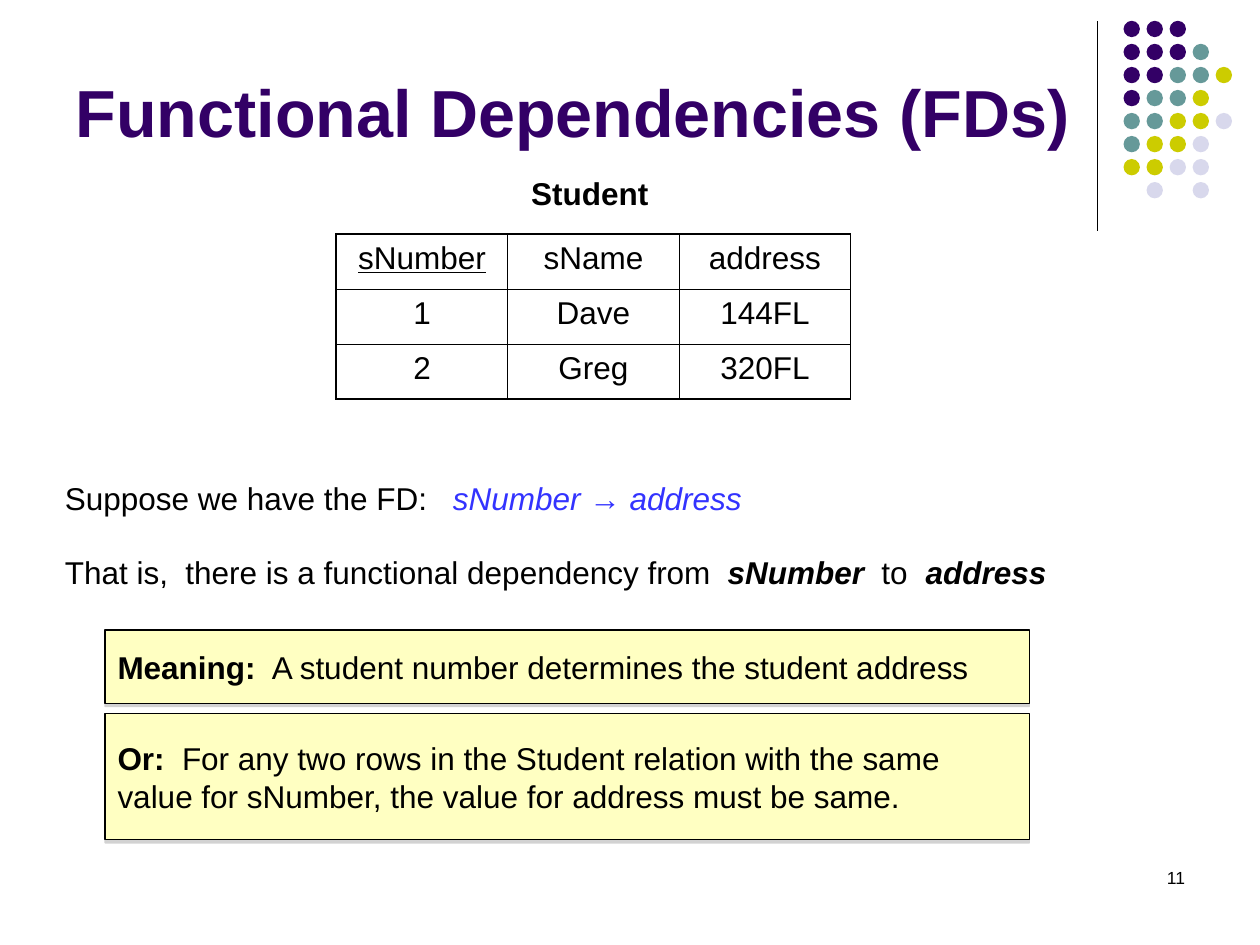
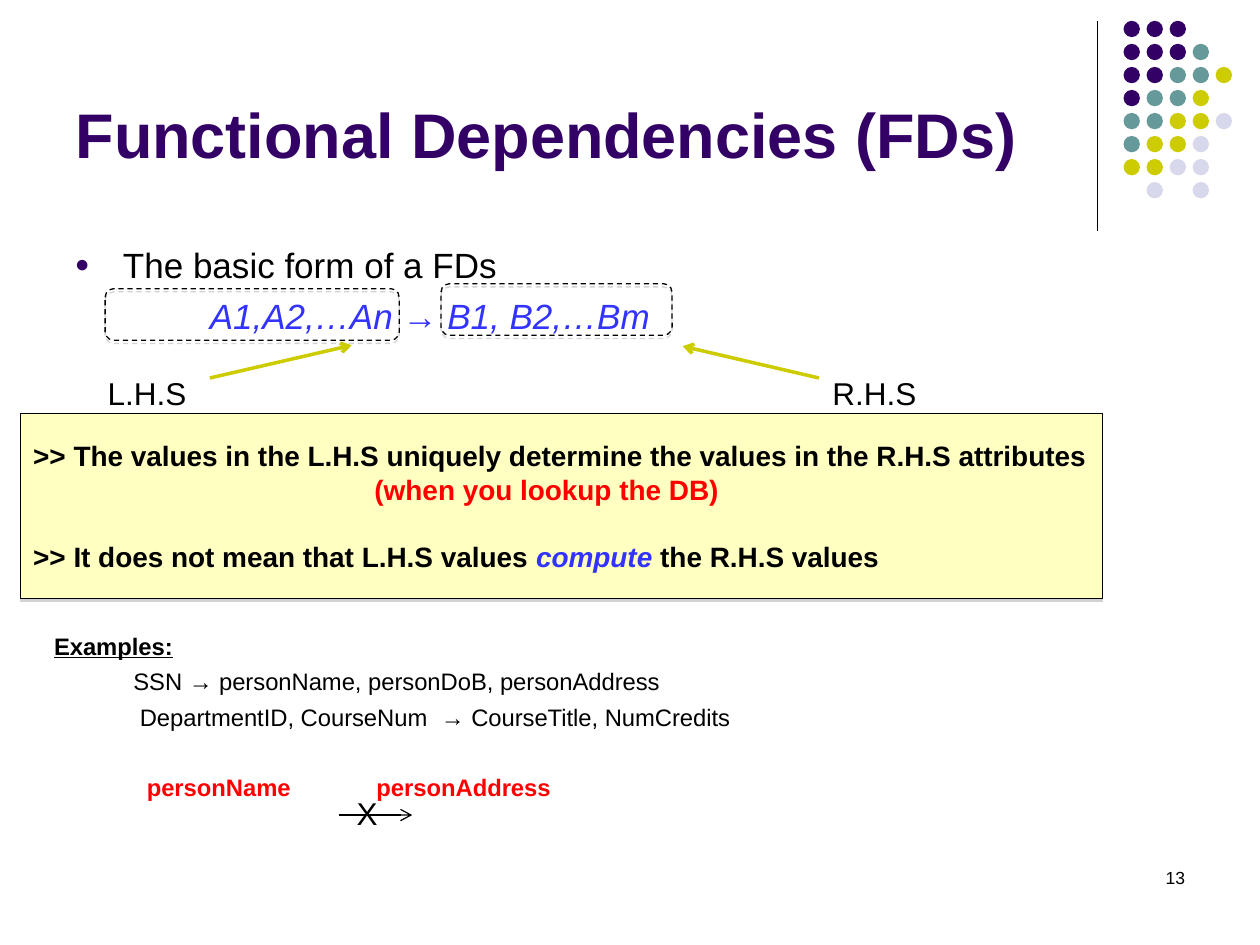
from lxml.etree import SubElement as Sub
from pptx import Presentation
from pptx.dml.color import RGBColor as RGB
from pptx.enum.dml import MSO_LINE as Dash
from pptx.enum.shapes import MSO_CONNECTOR as Link, MSO_SHAPE as Form
from pptx.enum.text import MSO_ANCHOR as Anchor, PP_ALIGN as Align
from pptx.oxml.ns import qn
from pptx.util import Cm, Pt

FONT = "Arial"
HUES = {
    "plum": "330066", "teal": "669999", "lime": "CCCC00", "mist": "D8D8EC",
    "black": "000000", "blue": "3333FF", "red": "FF0000",
    "cream": "FFFFC2", "grey": "808080",
}
DOTS = ["PPP", "PPPT", "PPTTY", "PTTY", "TTYYL", "TYYL", "YYLL", " L L"]
KEYS = {"P": "plum", "T": "teal", "Y": "lime", "L": "mist"}
TITLE = "Functional Dependencies (FDs)"

ROWS = [("sNumber", "sName", "address"), ("1", "Dave", "144FL"), ("2", "Greg", "320FL")]
FACTS = [
    dict(runs=[("Suppose we have the FD:\t",), ("sNumber → address", "i", "blue")], tabs=[7.82]),
    dict(runs=[("That is,\tthere is a functional dependency from\t",), ("sNumber", "bi"),
               ("\tto\t",), ("address", "bi")],
         tabs=[2.43, 13.36, 16.46, 17.35], gap=21),
]
NOTES = [
    ((2.12, 12.7, 18.63, 1.48),
     dict(runs=[("Meaning:", "b"), ("\tA student number determines the student address",)],
          tabs=[3.11])),
    ((2.12, 14.39, 18.63, 2.54),
     dict(runs=[("Or:", "b"), ("\tFor any two rows in the Student relation with the same "
                               "value for sNumber, the value for address must be same.",)],
          tabs=[1.3])),
]

BASIC = [
    dict(runs=[("The basic form of a FDs",)], mark=True),
    dict(runs=[("\tA1,A2,…An → B1, B2,…Bm", "i", "blue")], tabs=[2.72], gap=5),
]
FRAMES = [(2.12, 5.82, 5.93, 1.04), (8.89, 5.72, 4.66, 1.04)]
ARROWS = [(4.23, 7.62, 7.09, 6.96), (16.51, 7.62, 13.76, 6.98)]
SIDES = [("L.H.S", 1.92), ("R.H.S", 16.53)]
CLAIMS = [
    dict(runs=[(">> The values in the L.H.S uniquely determine the values "
                "in the R.H.S attributes", "b")]),
    dict(runs=[("\t(when you lookup the DB)", "b", "red")], tabs=[6.88]),
    dict(runs=[(">> It does not mean that L.H.S values ", "b"), ("compute ", "bi", "blue"),
               ("the R.H.S values", "b")], gap=19),
]
CASES = [
    dict(runs=[("Examples:", "bu")]),
    dict(runs=[("\tSSN → personName, personDoB, personAddress",)], tabs=[1.6], gap=4),
    dict(runs=[("\tDepartmentID, CourseNum\t→ CourseTitle, NumCredits",)],
         tabs=[1.73, 7.8], gap=4),
    dict(runs=[("\tpersonName\tpersonAddress", "b", "red")], tabs=[1.87, 6.5], gap=24),
]


def hue(name):
    return RGB.from_string(HUES[name])


def ink(node, name):
    return Sub(node, qn("a:srgbClr"), val=HUES[name])


def place(box):
    return [Cm(n) for n in box]


def bullet(para):
    props = para._p.get_or_add_pPr()
    props.set("marL", str(Cm(0.97)))
    props.set("indent", str(-Cm(0.97)))
    ink(Sub(props, qn("a:buClr")), "plum")
    Sub(props, qn("a:buSzPct"), val="70000")
    Sub(props, qn("a:buFont"), typeface=FONT)
    Sub(props, qn("a:buChar"), char="●")


def stops(para, tabs):
    row = Sub(para._p.get_or_add_pPr(), qn("a:tabLst"))
    for tab in tabs:
        Sub(row, qn("a:tab"), pos=str(Cm(tab)), algn="l")


def add(para, size, text, style="", tone="black"):
    run = para.add_run()
    run.text = text
    font = run.font
    font.name, font.size = FONT, Pt(size)
    font.bold, font.italic, font.underline = (k in style for k in "biu")
    font.color.rgb = hue(tone)


def write(frame, paras, size, align=Align.LEFT):
    frame.word_wrap = True
    for n, item in enumerate(paras):
        para = frame.add_paragraph() if n else frame.paragraphs[0]
        if item.get("mark"):
            bullet(para)
        if "tabs" in item:
            stops(para, item["tabs"])
        para.alignment = align
        para.space_before = Pt(item.get("gap", 0))
        for run in item["runs"]:
            add(para, size, *run)


def plain(*run):
    return [dict(runs=[run])]


def label(slide, box, paras, size, align=Align.LEFT):
    write(slide.shapes.add_textbox(*place(box)).text_frame, paras, size, align)


def draw(slide, form, box, fill=None, line=None):
    shape = slide.shapes.add_shape(form, *place(box))
    shape.shadow.inherit = False
    if fill:
        shape.fill.solid()
        shape.fill.fore_color.rgb = hue(fill)
    else:
        shape.fill.background()
    if line:
        shape.line.color.rgb = hue(line)
        shape.line.width = Pt(0.75)
    else:
        shape.line.fill.background()
    return shape


def shade(shape):
    effect = shape.element.spPr.find(qn("a:effectLst"))
    cast = Sub(effect, qn("a:outerShdw"), blurRad="0", dist=str(Pt(1.8)),
               dir="5400000", algn="ctr", rotWithShape="0")
    Sub(ink(cast, "grey"), qn("a:alpha"), val="35000")


def note(slide, box, paras, size):
    shape = draw(slide, Form.RECTANGLE, box, "cream", "black")
    shade(shape)
    shape.text_frame.vertical_anchor = Anchor.MIDDLE
    write(shape.text_frame, paras, size)


def stroke(slide, ends, tone="black", width=0.75, arrow=False):
    line = slide.shapes.add_connector(Link.STRAIGHT, *place(ends))
    line.line.color.rgb = hue(tone)
    line.line.width = Pt(width)
    props = line.element.spPr
    if arrow:
        Sub(props.find(qn("a:ln")), qn("a:tailEnd"), type="arrow")
    Sub(props, qn("a:effectLst"))
    return line


def adorn(slide, layout):
    step = 3.25 / 7
    parts = [stroke(slide, (22.12, 0.43, 22.12, 4.65))]
    for r, row in enumerate(DOTS):
        for c, key in enumerate(row):
            if key in KEYS:
                box = 22.65 + c * step, 0.42 + r * step, 0.33, 0.33
                parts.append(draw(slide, Form.OVAL, box, KEYS[key]))
    for n, part in enumerate(parts, 50):
        part.element.xpath(".//p:cNvPr")[0].set("id", str(n))
        layout.shapes.element.append(part.element)


def head(slide, number, height, size):
    title = slide.shapes.title
    title.left, title.top, title.width, title.height = place((1.27, 0.33, 20.96, height))
    title.text_frame.vertical_anchor = Anchor.BOTTOM
    write(title.text_frame, plain(TITLE, "b", "plum"), size)
    label(slide, (18.21, 17.35, 5.93, 1.27), plain(number), 10, Align.RIGHT)


def edge(cell, r, c):
    props = cell._tc.get_or_add_tcPr()
    outer = {"L": c == 0, "R": c == len(ROWS[0]) - 1, "T": r == 0, "B": r == len(ROWS) - 1}
    for side, thick in outer.items():
        line = Sub(props, qn("a:ln" + side), w=str(Pt(1.08 if thick else 0.45)))
        ink(Sub(line, qn("a:solidFill")), "black")


def grid(slide):
    table = slide.shapes.add_table(len(ROWS), len(ROWS[0]),
                                   *place((6.78, 4.72, 10.37, 3.33))).table
    table.first_row = table.horz_banding = False
    for r, row in enumerate(ROWS):
        for c, text in enumerate(row):
            cell = table.cell(r, c)
            edge(cell, r, c)
            cell.fill.background()
            write(cell.text_frame, plain(text, "u" if r == c == 0 else ""), 18, Align.CENTER)


def first(slide):
    head(slide, "11", 2.84, 38)
    grid(slide)
    label(slide, (10.46, 3.38, 3.2, 1.02), plain("Student", "b"), 18)
    label(slide, (1.06, 9.53, 20.52, 2.54), FACTS, 18)
    for box, para in NOTES:
        note(slide, box, [para], 18)


def second(slide):
    head(slide, "13", 3.25, 36)
    label(slide, (1.26, 4.78, 20.32, 3.68), BASIC, 20)
    for box in FRAMES:
        frame = draw(slide, Form.ROUNDED_RECTANGLE, box, line="black")
        frame.line.dash_style = Dash.DASH
        shade(frame)
    for ends in ARROWS:
        stroke(slide, ends, "lime", 2, True)
    for text, left in SIDES:
        label(slide, (left, 7.42, 2.5, 1.02), plain(text), 18)
    note(slide, (0.42, 8.33, 21.8, 3.73), CLAIMS, 16)
    label(slide, (0.84, 12.6, 20.32, 3.68), CASES, 13.6)
    label(slide, (6.94, 15.88, 1.1, 1.02), plain("X"), 18)
    stroke(slide, (6.83, 16.43, 8.31, 16.43), arrow=True)


def main():
    deck = Presentation()
    deck.slide_width, deck.slide_height = Cm(25.4), Cm(19.05)
    layout = deck.slide_layouts[5]
    one, two = (deck.slides.add_slide(layout) for _ in range(2))
    adorn(one, layout)
    first(one)
    second(two)
    deck.save("out.pptx")


if __name__ == "__main__":
    main()
